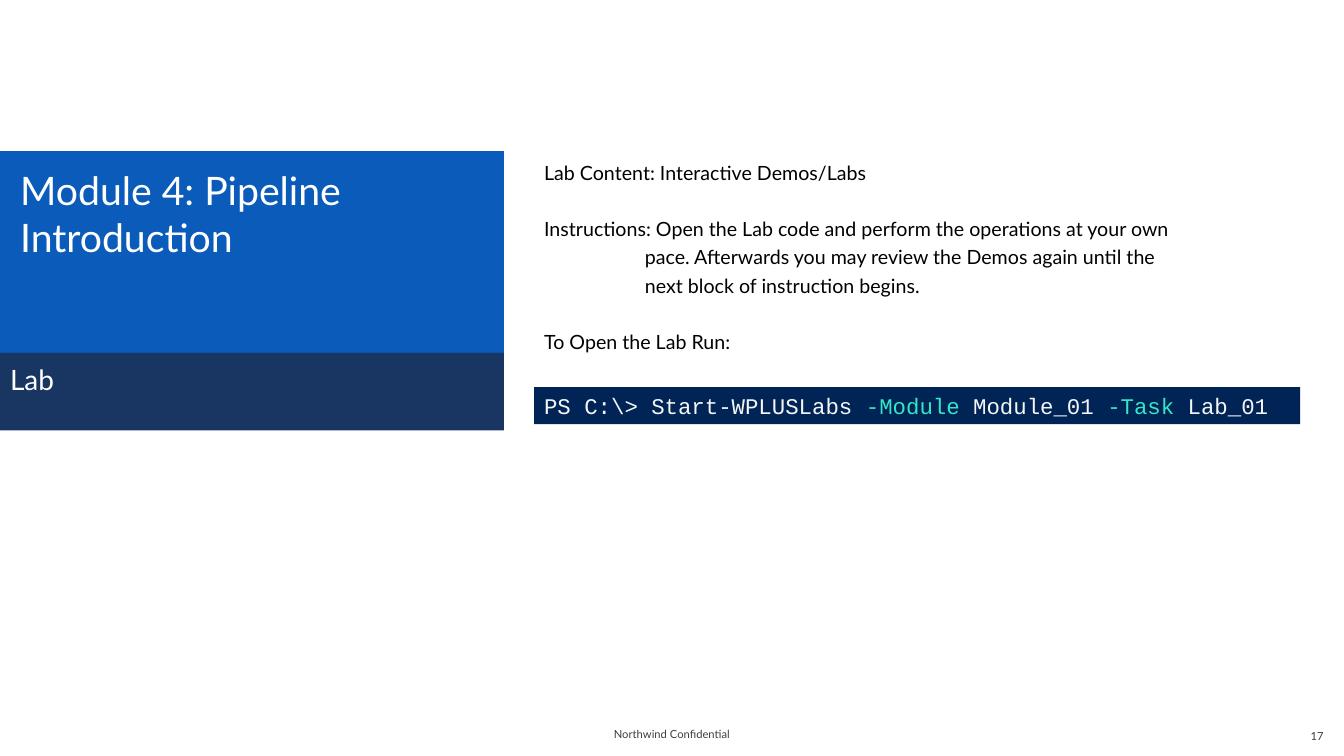
from dataclasses import dataclass

from lxml import etree
from pptx import Presentation
from pptx.dml import color
from pptx.enum import shapes, text
from pptx.oxml import ns
from pptx.util import Pt


@dataclass(frozen=True)
class Theme:
    sans: str = "Lato"
    mono: str = "Courier New"
    blue: str = "0A5BBA"
    navy: str = "002050"
    console: str = "012456"
    white: str = "FFFFFF"
    black: str = "000000"
    grey: str = "3F3F3F"
    command: str = "F5F5F5"
    parameter: str = "33E6C5"
    title_size: int = 28
    subtitle_size: int = 20
    command_size: int = 16
    body_size: int = 14
    footer_size: int = 8


THEME = Theme()
LEFT, CENTER, RIGHT = text.PP_ALIGN.LEFT, text.PP_ALIGN.CENTER, text.PP_ALIGN.RIGHT
TOP, MIDDLE = text.MSO_ANCHOR.TOP, text.MSO_ANCHOR.MIDDLE


def apply(target, values):
    for name, value in values.items():
        setattr(target, name, value)


def place(box, left, top, width, height):
    apply(box, {"left": Pt(left), "top": Pt(top), "width": Pt(width), "height": Pt(height)})


def fill_box(box, rgb, opacity=100):
    box.fill.solid()
    box.fill.fore_color.rgb = color.RGBColor.from_string(rgb)
    if opacity < 100:
        tint = box.fill._xPr.find(".//" + ns.qn("a:srgbClr"))
        etree.SubElement(tint, ns.qn("a:alpha")).set("val", str(opacity * 1000))


def format_frame(box, insets=(7.2, 3.6, 7.2, 3.6), anchor=TOP):
    left, top, right, bottom = insets
    apply(box.text_frame, {
        "word_wrap": True,
        "auto_size": text.MSO_AUTO_SIZE.NONE,
        "vertical_anchor": anchor,
        "margin_left": Pt(left),
        "margin_top": Pt(top),
        "margin_right": Pt(right),
        "margin_bottom": Pt(bottom),
    })


def write_para(para, spans, size, font=THEME.sans, align=LEFT, spacing=1.0, before=0, hanging=0):
    apply(para, {"alignment": align, "line_spacing": spacing,
                 "space_before": Pt(before), "space_after": Pt(0)})
    properties = para._p.get_or_add_pPr()
    properties.set("marL", str(Pt(hanging)))
    properties.set("indent", str(Pt(-hanging)))
    etree.SubElement(properties, ns.qn("a:buNone"))
    for words, rgb in spans:
        span = para.add_run()
        span.text = words
        apply(span.font, {"name": font, "size": Pt(size), "bold": False})
        span.font.color.rgb = color.RGBColor.from_string(rgb)


def add_banner(box, words, bounds, rgb, size, insets, opacity=100):
    place(box, *bounds)
    fill_box(box, rgb, opacity)
    format_frame(box, insets)
    write_para(box.text_frame.paragraphs[0], [(words, THEME.white)], size)


def add_footer(page, words, left, top, align):
    box = page.shapes.add_textbox(Pt(left), Pt(top), Pt(224), Pt(28.8))
    format_frame(box, (14.4, 3.6, 14.4, 3.6), MIDDLE)
    write_para(box.text_frame.paragraphs[0], [(words, THEME.grey)], THEME.footer_size, align=align)


def add_instructions(page, entries):
    box = page.shapes.add_textbox(Pt(381.6), Pt(108), Pt(471), Pt(390))
    format_frame(box)
    frame = box.text_frame
    for number, (words, hanging) in enumerate(entries):
        para = frame.add_paragraph() if number else frame.paragraphs[0]
        write_para(para, [(words, THEME.black)], THEME.body_size, spacing=1.2,
                   before=20 if number else 0, hanging=hanging)


def add_command(page, spans):
    box = page.shapes.add_shape(shapes.MSO_SHAPE.RECTANGLE, Pt(381.6), Pt(276.5), Pt(547.2), Pt(26.6))
    box.shadow.inherit = False
    box.line.fill.background()
    fill_box(box, THEME.console)
    format_frame(box)
    write_para(box.text_frame.paragraphs[0], spans, THEME.command_size, THEME.mono)


def main():
    deck = Presentation()
    apply(deck, {"slide_width": Pt(960), "slide_height": Pt(540)})
    page = deck.slides.add_slide(deck.slide_layouts[1])
    add_banner(page.shapes.title, "Module 4: Pipeline Introduction", (0, 108, 360, 144),
               THEME.blue, THEME.title_size, (14.4, 10.8, 7.2, 3.6))
    add_banner(page.placeholders[1], "Lab", (0, 252, 360, 55.4),
               THEME.navy, THEME.subtitle_size, (7.2, 7.2, 7.2, 3.6), opacity=90)
    add_instructions(page, [
        ("Lab Content: Interactive Demos/Labs", 0),
        ("Instructions: Open the Lab code and perform the operations at your own pace. "
         "Afterwards you may review the Demos again until the next block of instruction begins.", 72),
        ("To Open the Lab Run:", 0),
    ])
    add_command(page, [
        ("PS C:\\> Start-WPLUSLabs ", THEME.command),
        ("-Module ", THEME.parameter),
        ("Module_01 ", THEME.command),
        ("-Task ", THEME.parameter),
        ("Lab_01", THEME.command),
    ])
    add_footer(page, "Northwind Confidential", 368, 510, CENTER)
    add_footer(page, "17", 736, 511.2, RIGHT)
    deck.save("out.pptx")


if __name__ == "__main__":
    main()
